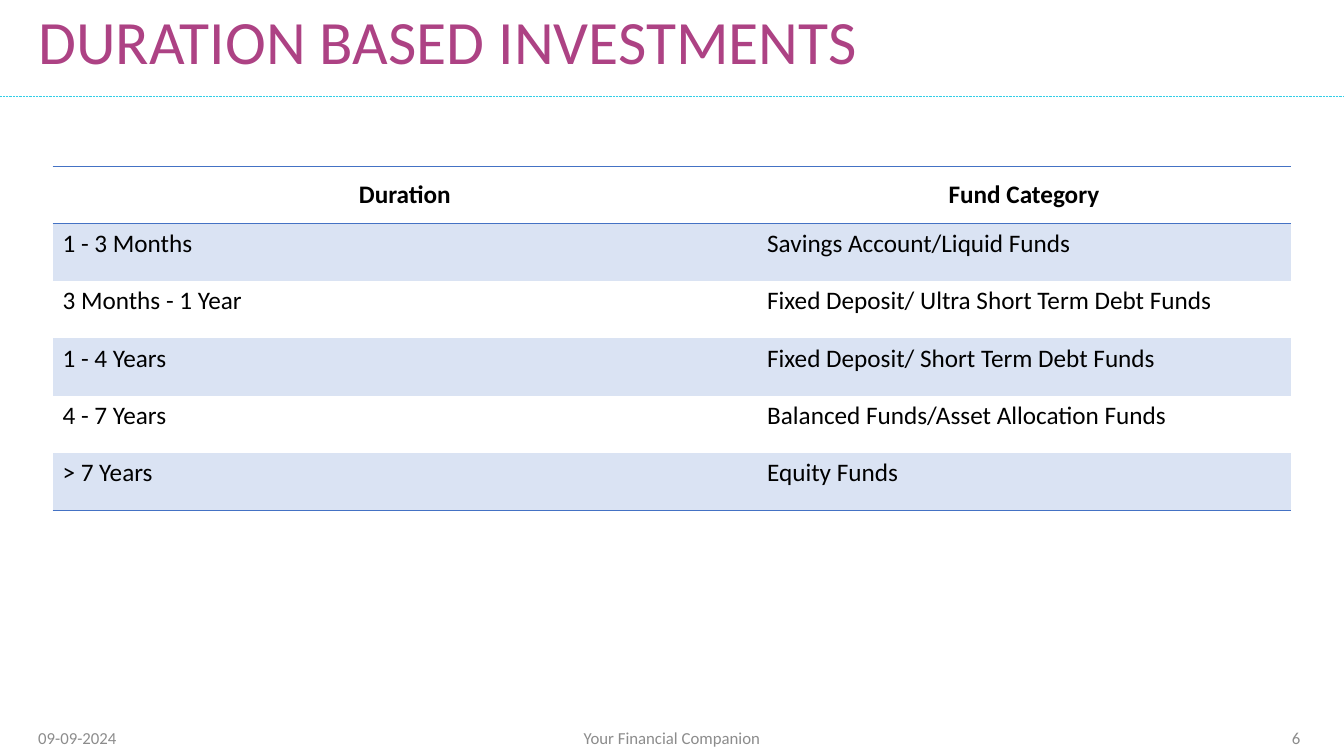
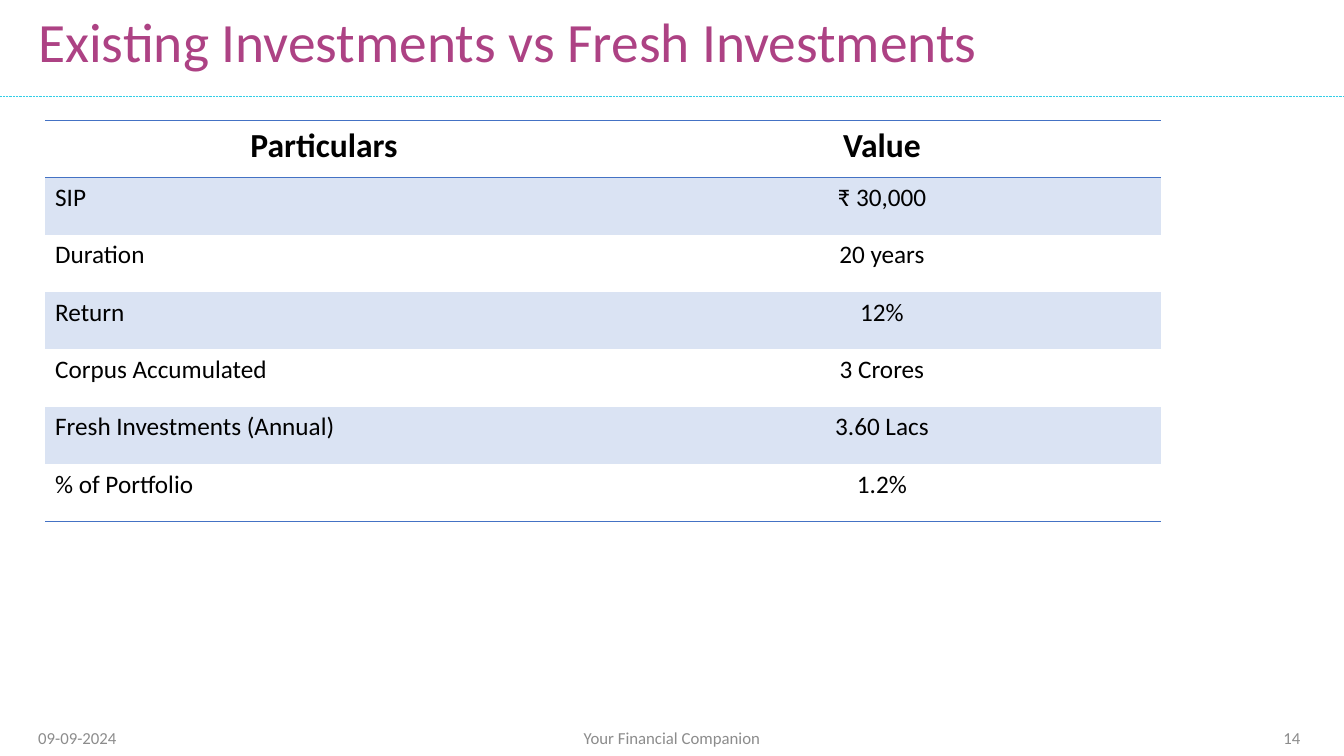
from dataclasses import dataclass

from lxml.etree import SubElement
from pptx import Presentation
from pptx.dml.color import RGBColor
from pptx.enum.dml import MSO_LINE
from pptx.enum.shapes import MSO_CONNECTOR
from pptx.enum.text import MSO_ANCHOR, PP_ALIGN
from pptx.oxml.ns import qn
from pptx.slide import Slide
from pptx.table import _Cell
from pptx.text.text import _Paragraph
from pptx.util import Pt

COLORS = {
    "title": "AD4284",
    "rule": "31CEE7",
    "footer": "8C8C8C",
    "text": "000000",
    "border": "4472C4",
    "band": "DAE3F3",
}
FONT = "Calibri"
SLIDE_W, SLIDE_H = 960, 540
RULE_Y = 69
ROW_H = 40.95
NO_STYLE_ID = "{2D5ABB26-0587-4C30-8999-92F81FD0307C}"


@dataclass(frozen=True)
class Box:
    left: float
    top: float
    width: float
    height: float


@dataclass(frozen=True)
class TableSlide:
    title: str
    title_size: float
    number: str
    left: float
    top: float
    col_widths: tuple[float, ...]
    header_size: float
    header_anchor: MSO_ANCHOR
    col_aligns: tuple[PP_ALIGN, ...]
    rows: tuple[tuple[str, ...], ...]


TITLE_BOX = Box(20.2, 2.9, 713, 58.3)
DATE_BOX = Box(20.2, 512.6, 261, 28.8)
COMPANION_BOX = Box(318, 512.6, 324, 28.8)
NUMBER_BOX = Box(678, 512.6, 258, 28.8)

SLIDES = (
    TableSlide(
        "DURATION BASED INVESTMENTS", 44, "6", 37.5, 118.8, (503.3, 381.4),
        18, MSO_ANCHOR.MIDDLE, (PP_ALIGN.LEFT, PP_ALIGN.LEFT),
        (
            ("Duration", "Fund Category"),
            ("1 - 3 Months", "Savings Account/Liquid Funds"),
            ("3 Months - 1 Year", "Fixed Deposit/ Ultra Short Term Debt Funds"),
            ("1 - 4 Years", "Fixed Deposit/ Short Term Debt Funds"),
            ("4 - 7 Years", "Balanced Funds/Asset Allocation Funds"),
            ("> 7 Years", "Equity Funds"),
        ),
    ),
    TableSlide(
        "Existing Investments vs Fresh Investments", 39.6, "14", 32.2, 85.8,
        (398.5, 398.5), 24, MSO_ANCHOR.TOP, (PP_ALIGN.LEFT, PP_ALIGN.CENTER),
        (
            ("Particulars", "Value"),
            ("SIP", "₹ 30,000"),
            ("Duration", "20 years"),
            ("Return", "12%"),
            ("Corpus Accumulated", "3 Crores"),
            ("Fresh Investments (Annual)", "3.60 Lacs"),
            ("% of Portfolio", "1.2%"),
        ),
    ),
)


def rgb(name: str) -> RGBColor:
    return RGBColor.from_string(COLORS[name])


def write(paragraph: _Paragraph, text: str, size: float, color: str,
          align: PP_ALIGN, bold: bool = False) -> None:
    paragraph.text = text
    paragraph.alignment = align
    font = paragraph.font
    font.name, font.size, font.bold = FONT, Pt(size), bold
    font.color.rgb = rgb(color)


def add_text(slide: Slide, box: Box, text: str, size: float, color: str,
             align: PP_ALIGN = PP_ALIGN.LEFT) -> _Paragraph:
    frame = slide.shapes.add_textbox(
        Pt(box.left), Pt(box.top), Pt(box.width), Pt(box.height)).text_frame
    frame.word_wrap = True
    frame.vertical_anchor = MSO_ANCHOR.MIDDLE
    write(frame.paragraphs[0], text, size, color, align)
    return frame.paragraphs[0]


def add_frame(slide: Slide, content: TableSlide) -> None:
    """Rule, title and footer shared by all slides."""
    rule = slide.shapes.add_connector(
        MSO_CONNECTOR.STRAIGHT, 0, Pt(RULE_Y), Pt(SLIDE_W), Pt(RULE_Y))
    rule.line.color.rgb = rgb("rule")
    rule.line.width = Pt(0.5)
    rule.line.dash_style = MSO_LINE.ROUND_DOT
    SubElement(rule._element.spPr, qn("a:effectLst"))

    title = add_text(slide, TITLE_BOX, content.title, content.title_size, "title")
    title.line_spacing = 0.9
    add_text(slide, DATE_BOX, "09-09-2024", 12, "footer")
    add_text(slide, COMPANION_BOX, "Your Financial Companion", 12, "footer",
             PP_ALIGN.CENTER)
    add_text(slide, NUMBER_BOX, content.number, 12, "footer", PP_ALIGN.RIGHT)


def add_border(cell: _Cell, side: str) -> None:
    line = SubElement(cell._tc.get_or_add_tcPr(), qn(f"a:ln{side}"), w=str(Pt(1)))
    fill = SubElement(line, qn("a:solidFill"))
    SubElement(fill, qn("a:srgbClr"), val=COLORS["border"])


def add_data_table(slide: Slide, content: TableSlide) -> None:
    row_count = len(content.rows)
    table = slide.shapes.add_table(
        row_count, len(content.col_widths), Pt(content.left), Pt(content.top),
        Pt(sum(content.col_widths)), Pt(ROW_H * row_count)).table
    table._tbl.tblPr.find(qn("a:tableStyleId")).text = NO_STYLE_ID
    for column, width in zip(table.columns, content.col_widths):
        column.width = Pt(width)

    for r, values in enumerate(content.rows):
        table.rows[r].height = Pt(ROW_H)
        header = r == 0
        for c, value in enumerate(values):
            cell = table.cell(r, c)
            # Borders come before the fill in the cell properties
            if header:
                add_border(cell, "T")
            if header or r == row_count - 1:
                add_border(cell, "B")
            if r % 2:
                cell.fill.solid()
                cell.fill.fore_color.rgb = rgb("band")
            else:
                cell.fill.background()
            cell.vertical_anchor = content.header_anchor if header else MSO_ANCHOR.TOP
            write(cell.text_frame.paragraphs[0], value,
                  content.header_size if header else 18, "text",
                  PP_ALIGN.CENTER if header else content.col_aligns[c], header)


def main() -> None:
    deck = Presentation()
    deck.slide_width, deck.slide_height = Pt(SLIDE_W), Pt(SLIDE_H)
    for content in SLIDES:
        slide = deck.slides.add_slide(deck.slide_layouts[6])
        add_frame(slide, content)
        add_data_table(slide, content)
    deck.save("out.pptx")


if __name__ == "__main__":
    main()
